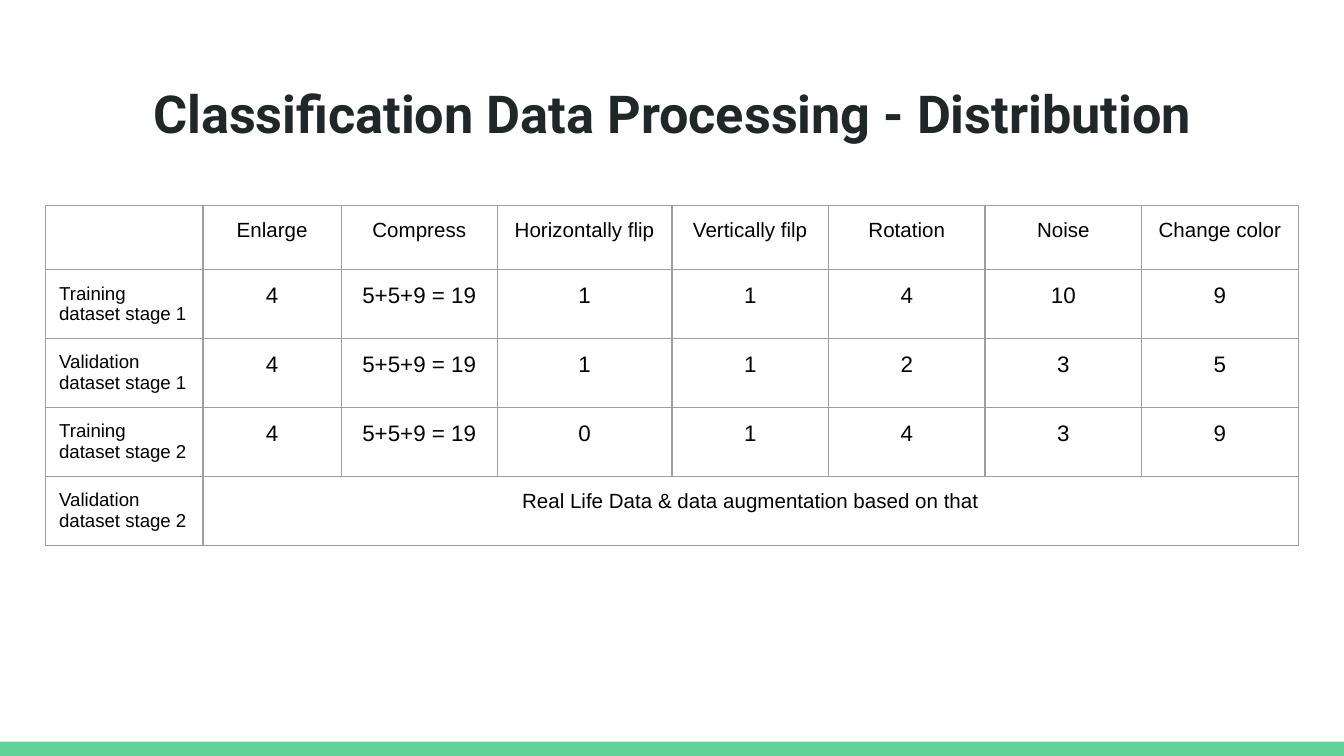
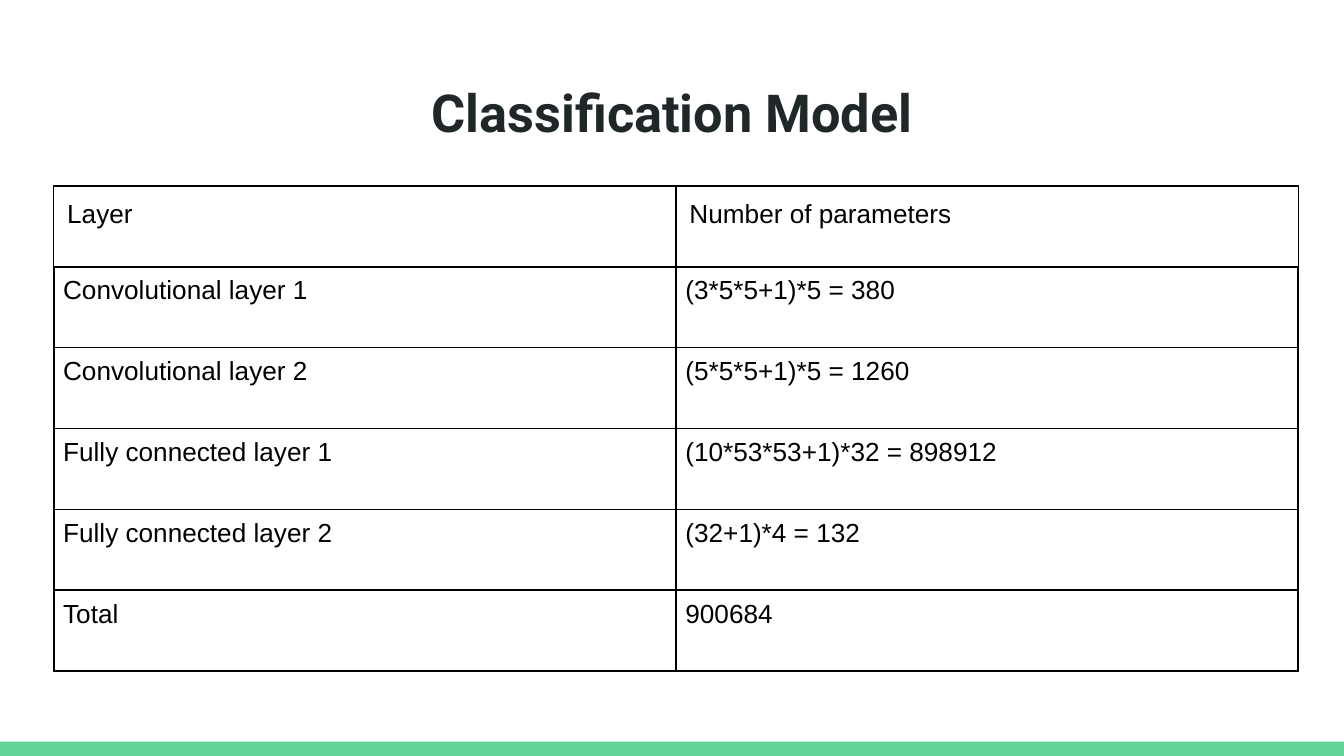
from lxml.etree import SubElement
from pptx import Presentation
from pptx.dml.color import RGBColor
from pptx.enum.shapes import MSO_SHAPE as Shape
from pptx.enum.text import MSO_ANCHOR as Anchor, PP_ALIGN as Align
from pptx.oxml.ns import qn
from pptx.util import Inches, Pt

WHITE = RGBColor(0xFF, 0xFF, 0xFF)
BLACK = RGBColor(0x00, 0x00, 0x00)
INK = RGBColor(0x20, 0x27, 0x29)
GREEN = RGBColor(0x63, 0xD2, 0x97)
GREY = RGBColor(0x9E, 0x9E, 0x9E)

TITLE_FONT, TABLE_FONT = "Roboto", "Arial"
TITLE_ONLY = 5
MARGIN = Inches(0.1)


class Deck:
    """Shared style and current slide; lengths are percent of the slide's size."""

    def __init__(self):
        self.presentation = Presentation()
        self.presentation.slide_width = Inches(10)
        self.presentation.slide_height = Inches(5.625)
        self.slide = None

    def x(self, share):
        return round(self.presentation.slide_width * share / 100)

    def y(self, share):
        return round(self.presentation.slide_height * share / 100)

    def add_slide(self, title, top):
        layout = self.presentation.slide_layouts[TITLE_ONLY]
        self.slide = self.presentation.slides.add_slide(layout)
        fill = self.slide.background.fill
        fill.solid()
        fill.fore_color.rgb = WHITE
        self.add_band()
        self.add_title(title, top)

    def add_band(self):
        band = self.slide.shapes.add_shape(
            Shape.RECTANGLE, 0, self.y(98.1), self.x(100), self.y(1.9))
        band.shadow.inherit = False
        band.fill.solid()
        band.fill.fore_color.rgb = GREEN
        band.line.fill.background()

    def add_title(self, text, top):
        shape = self.slide.shapes.title
        shape.left, shape.top = self.x(3.4), self.y(top)
        shape.width, shape.height = self.x(93.2), self.y(11.2)
        frame = shape.text_frame
        frame.text = text
        frame.word_wrap = True
        frame.vertical_anchor = Anchor.TOP
        self.set_margins(frame, MARGIN)
        self.format(frame.paragraphs[0], 28, TITLE_FONT, INK, bold=True)

    def add_table(self, left, top, widths, heights):
        frame = self.slide.shapes.add_table(
            len(heights), len(widths), self.x(left), self.y(top),
            self.x(sum(widths)), self.y(sum(heights)))
        table = frame.table
        table.first_row = table.horz_banding = False
        for column, width in zip(table.columns, widths):
            column.width = self.x(width)
        for row, height in zip(table.rows, heights):
            row.height = self.y(height)
        return table

    def fill_cell(self, cell, text, size, color, borders,
                  align=Align.LEFT, margin=MARGIN):
        """Borders are the line widths for left, right, top and bottom."""
        cell.text = text
        cell.vertical_anchor = Anchor.TOP
        self.set_margins(cell, margin)
        paragraph = cell.text_frame.paragraphs[0]
        paragraph.alignment = align
        self.format(paragraph, size, TABLE_FONT, BLACK)
        properties = cell._tc.get_or_add_tcPr()
        for side, width in zip(("lnL", "lnR", "lnT", "lnB"), borders):
            line = SubElement(properties, qn(f"a:{side}"), w=str(Pt(width)))
            solid = SubElement(line, qn("a:solidFill"))
            SubElement(solid, qn("a:srgbClr"), val=str(color))
        # The fill element has to follow the borders
        cell.fill.background()

    @staticmethod
    def set_margins(box, margin):
        box.margin_left = box.margin_right = margin
        box.margin_top = box.margin_bottom = margin

    @staticmethod
    def format(paragraph, size, name, color, bold=False):
        if paragraph.text == "":
            paragraph.font.size = Pt(size)
            return
        font = paragraph.font
        font.size, font.name, font.bold = Pt(size), name, bold
        font.color.rgb = color


def add_distribution(deck):
    deck.add_slide("Classification Data Processing - Distribution", 8.9)
    rows = [
        ["", "Enlarge", "Compress", "Horizontally flip", "Vertically filp",
         "Rotation", "Noise", "Change color"],
        ["Training dataset stage 1", "4", "5+5+9 = 19", "1", "1", "4", "10", "9"],
        ["Validation dataset stage 1", "4", "5+5+9 = 19", "1", "1", "2", "3", "5"],
        ["Training dataset stage 2", "4", "5+5+9 = 19", "0", "1", "4", "3", "9"],
        ["Validation dataset stage 2",
         "Real Life Data & data augmentation based on that"],
    ]
    widths = [11.7, 10.3, 11.6, 13] + [11.65] * 4
    table = deck.add_table(3.4, 27.2, widths, [8.5] + [9.1] * 3 + [9.2])
    last = len(rows) - 1
    # The last row has one wide cell beside its label
    table.cell(last, 1).merge(table.cell(last, len(widths) - 1))
    for r, row in enumerate(rows):
        row = row + [""] * (len(widths) - len(row))
        for c, text in enumerate(row):
            is_label = c == 0
            size = 10 if is_label else 11 if r in (0, last) else 12
            deck.fill_cell(table.cell(r, c), text, size, GREY, [0.75] * 4,
                           Align.LEFT if is_label else Align.CENTER)


def add_model(deck):
    deck.add_slide("Classification Model", 8.8)
    rows = [
        ("Layer", "Number of parameters"),
        ("Convolutional layer 1", "(3*5*5+1)*5 = 380"),
        ("Convolutional layer 2", "(5*5*5+1)*5 = 1260"),
        ("Fully connected layer 1", "(10*53*53+1)*32 = 898912"),
        ("Fully connected layer 2", "(32+1)*4 = 132"),
        ("Total", "900684"),
    ]
    table = deck.add_table(4, 24.6, [46.3] * 2, [10.7] * len(rows))
    for r, row in enumerate(rows):
        # The header has thinner lines and wider margins
        borders = [1] * 4 if r else [0.75, 0.75, 0.75, 1]
        margin = Inches(0.07) if r else MARGIN
        for c, text in enumerate(row):
            deck.fill_cell(table.cell(r, c), text, 14, BLACK, borders,
                           margin=margin)


def main():
    deck = Deck()
    add_distribution(deck)
    add_model(deck)
    deck.presentation.save("out.pptx")


if __name__ == "__main__":
    main()
